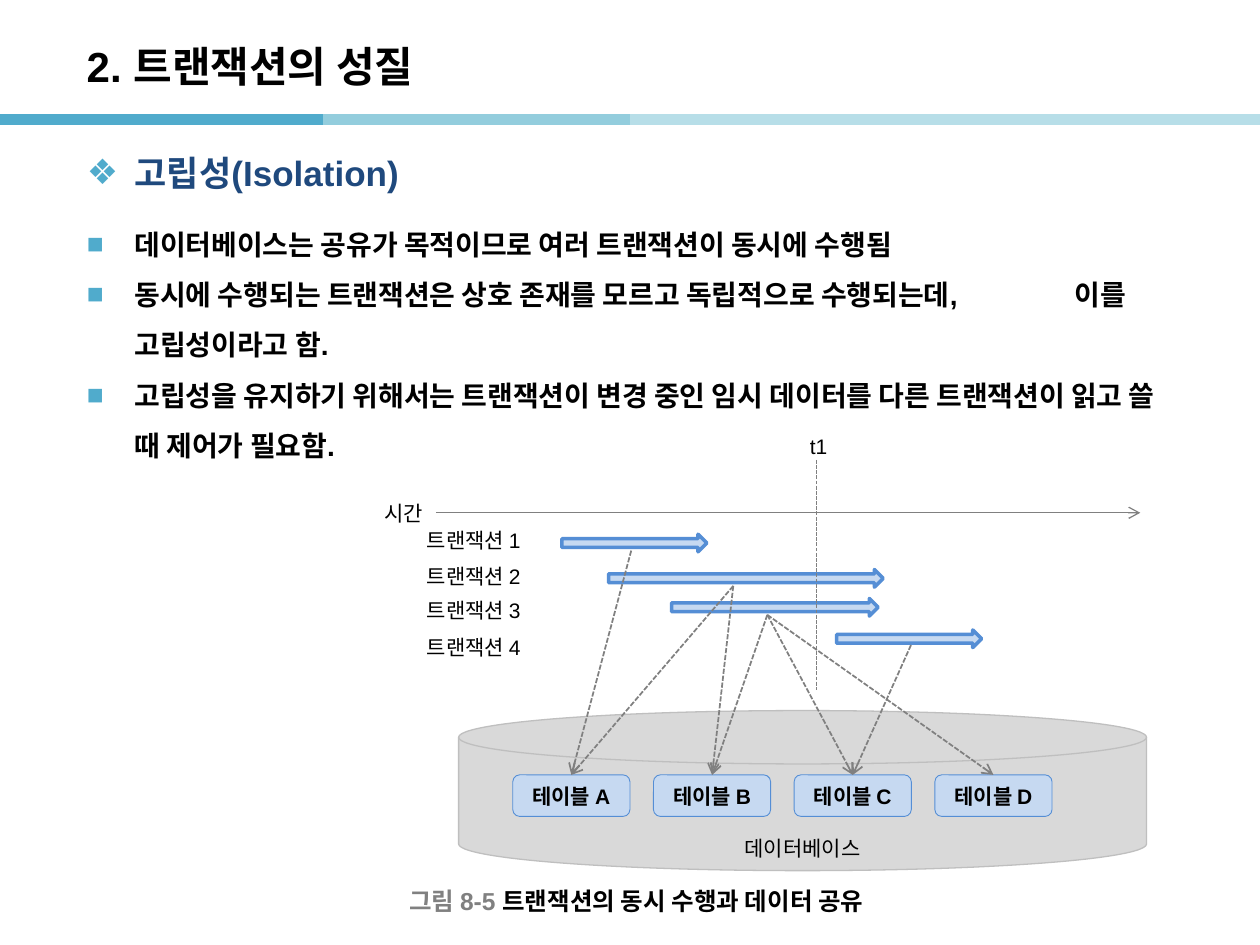
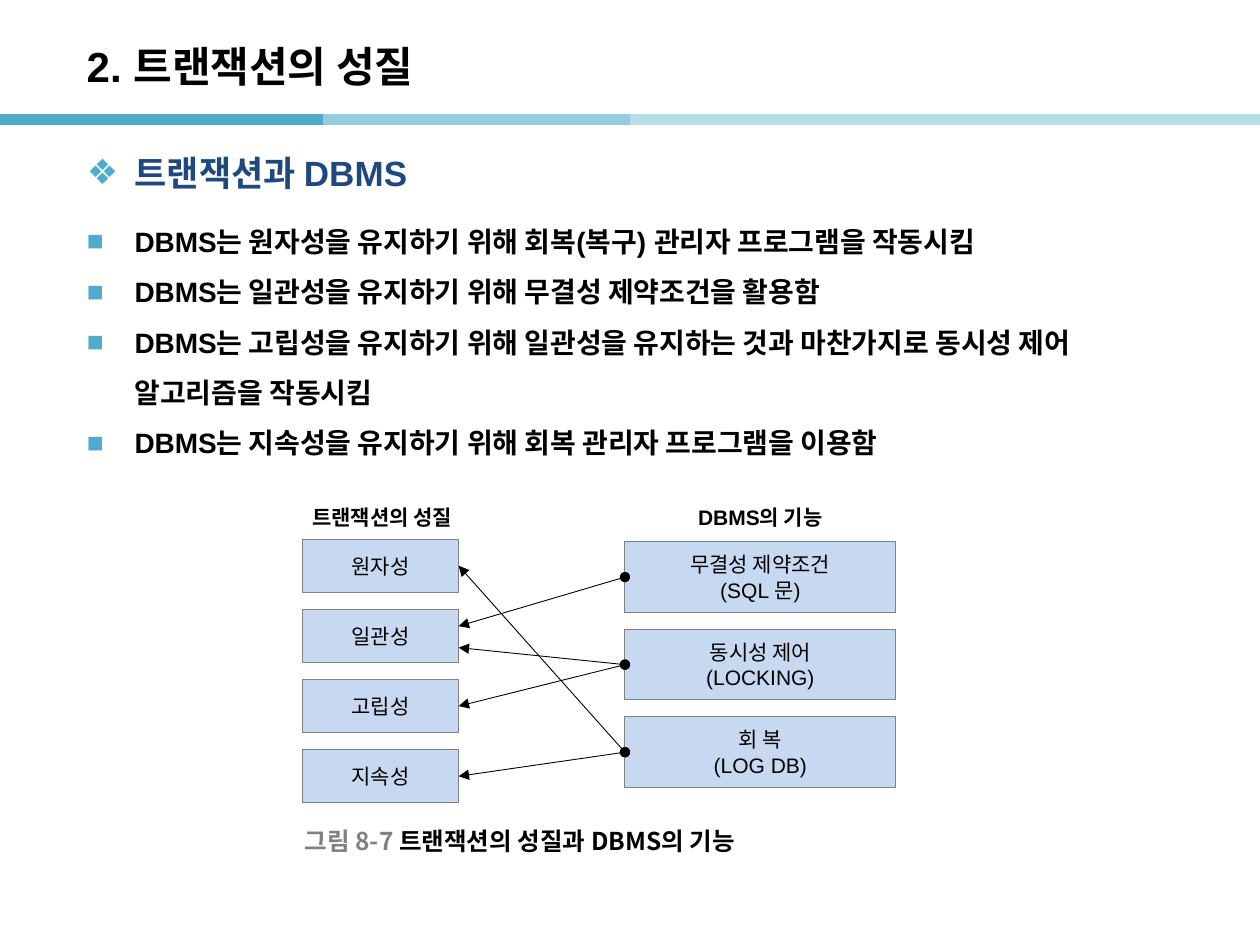
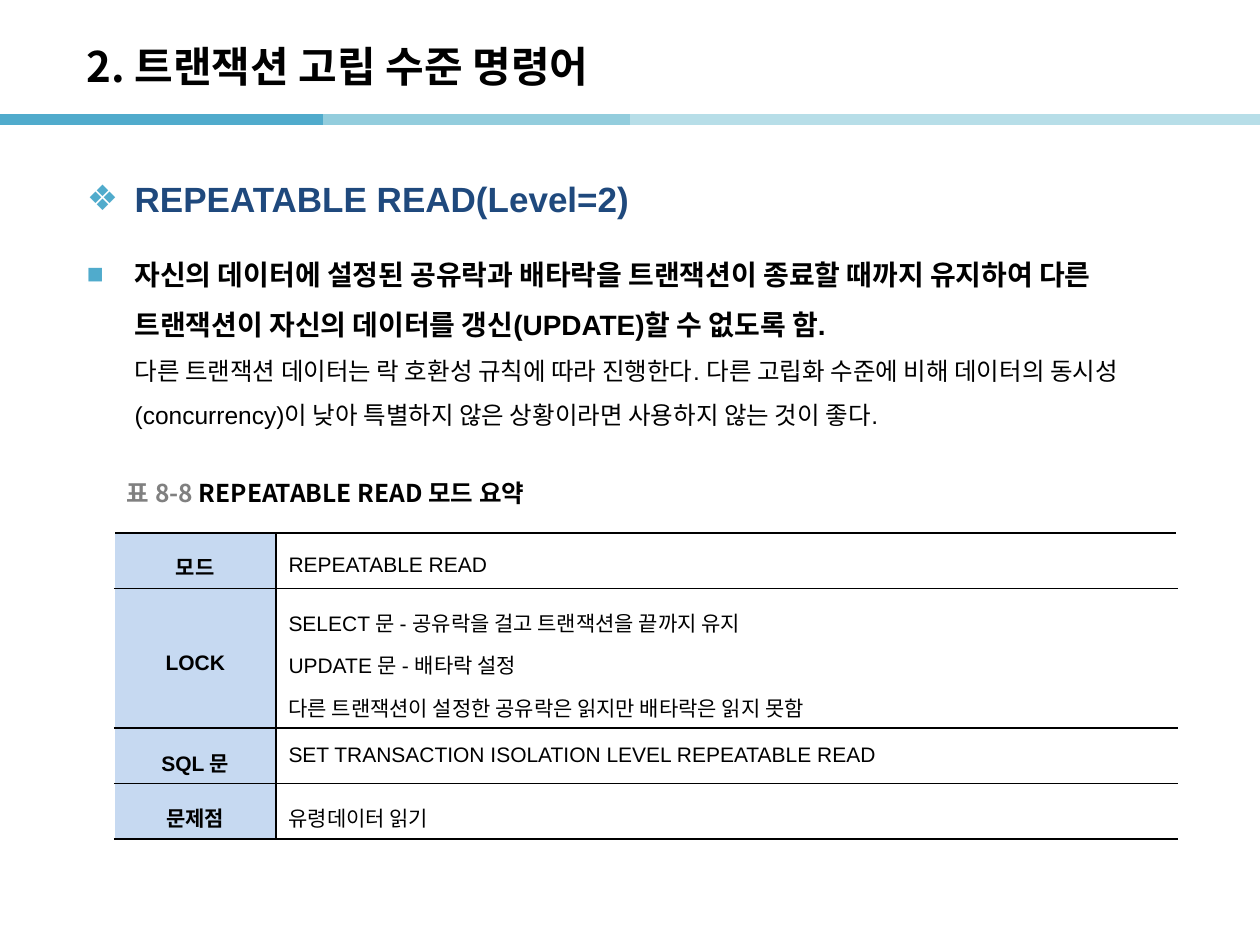
from lxml.etree import SubElement
from pptx import Presentation
from pptx.dml.color import RGBColor
from pptx.enum.dml import MSO_LINE
from pptx.enum.shapes import MSO_CONNECTOR, MSO_SHAPE
from pptx.enum.text import MSO_ANCHOR, PP_ALIGN
from pptx.oxml.ns import qn
from pptx.util import Inches, Pt

COLORS = {
    "black": "000000", "white": "FFFFFF", "gray": "808080", "disk": "D9D9D9",
    "disk_edge": "BFBFBF", "pale_blue": "C6D9F1", "blue": "558ED5",
    "navy": "1F497D", "teal": "50ABCC", "teal_mid": "93CDDD", "teal_pale": "B7DEE8",
}
LATIN, KOREAN = "Arial", "Noto Sans CJK KR"
HANG = 0.38
TOP, LEFT = 0, 1
RIGHT = 3


def rgb(name):
    return RGBColor.from_string(COLORS[name])


# --- Text ---
def add_bullet(paragraph, char, hang, tab=None):
    props = paragraph._p.get_or_add_pPr()
    props.set("marL", str(Inches(hang)))
    props.set("indent", str(-Inches(hang) if char else 0))
    if char:
        color = SubElement(props, qn("a:buClr"))
        SubElement(color, qn("a:srgbClr"), val=COLORS["teal"])
        SubElement(props, qn("a:buFont"), typeface=LATIN)
        SubElement(props, qn("a:buChar"), char=char)
    if tab:
        stops = SubElement(props, qn("a:tabLst"))
        SubElement(stops, qn("a:tab"), pos=str(Inches(tab)), algn="l")


def add_run(paragraph, text, size, color, bold, font):
    run = paragraph.add_run()
    run.text = text
    run.font.size = Pt(size)
    run.font.bold = bold
    run.font.color.rgb = rgb(color)
    run.font.name = font


def write(frame, text, size=12, color="black", bold=False, font=LATIN, first=True,
          align=PP_ALIGN.LEFT, spacing=None, bullet=None, hang=0, tab=None):
    """Write one paragraph; text is a string or a list of (string, color)."""
    paragraph = frame.paragraphs[0] if first else frame.add_paragraph()
    if hang:
        add_bullet(paragraph, bullet, hang, tab)
    paragraph.alignment = align
    if spacing:
        paragraph.line_spacing = spacing
    parts = [(text, color)] if isinstance(text, str) else text
    for part, part_color in parts:
        add_run(paragraph, part, size, part_color, bold, font)


def add_text_box(slide, left, top, width, height, anchor=MSO_ANCHOR.TOP):
    box = slide.shapes.add_textbox(Inches(left), Inches(top), Inches(width), Inches(height))
    box.text_frame.word_wrap = True
    box.text_frame.vertical_anchor = anchor
    return box.text_frame


def add_label(slide, text, left, top, width, height=0.3, **style):
    write(add_text_box(slide, left, top, width, height, MSO_ANCHOR.MIDDLE), text, **style)


def add_caption(slide, number, text, left, top, font=KOREAN):
    add_label(slide, [(number + " ", "gray"), (text, "black")], left, top, 5,
              size=14, bold=True, font=font)


def add_heading(slide, text, top=1.15, spacing=None):
    frame = add_text_box(slide, 0.59, top, 8.82, 0.52)
    write(frame, text, size=20, color="navy", bold=True, bullet="❖", hang=HANG,
          spacing=spacing)


def add_points(slide, points, top, height, tab=None):
    frame = add_text_box(slide, 0.59, top, 8.82, height)
    for index, point in enumerate(points):
        write(frame, point, size=16, bold=True, first=index == 0, bullet="■",
              hang=HANG, spacing=1.5, tab=tab)
    return frame


# --- Shapes and lines ---
def add_block(slide, kind, left, top, width, height, fill=None, edge=None, weight=0.5):
    block = slide.shapes.add_shape(kind, Inches(left), Inches(top), Inches(width), Inches(height))
    block.shadow.inherit = False
    if fill:
        block.fill.solid()
        block.fill.fore_color.rgb = rgb(fill)
        block.line.color.rgb = rgb(edge)
        block.line.width = Pt(weight)
    else:
        block.fill.background()
        block.line.fill.background()
    return block


def add_text_block(slide, kind, lines, left, top, width, height,
                   fill="pale_blue", edge="gray", bold=False):
    block = add_block(slide, kind, left, top, width, height, fill, edge)
    frame = block.text_frame
    frame.word_wrap = True
    frame.vertical_anchor = MSO_ANCHOR.MIDDLE
    for index, line in enumerate(lines):
        write(frame, line, bold=bold, first=index == 0, align=PP_ALIGN.CENTER)
    return block


def add_line(slide, start, end, color, weight, dashed=False, head=None, tail=None):
    line = slide.shapes.add_connector(
        MSO_CONNECTOR.STRAIGHT, *(Inches(value) for value in (*start, *end)))
    line.line.color.rgb = rgb(color)
    line.line.width = Pt(weight)
    if dashed:
        line.line.dash_style = MSO_LINE.SQUARE_DOT
    properties = line._element.spPr
    outline = properties.find(qn("a:ln"))
    for tag, arrow in (("a:headEnd", head), ("a:tailEnd", tail)):
        if arrow:
            SubElement(outline, qn(tag), type=arrow)
    SubElement(properties, qn("a:effectLst"))
    return line


# --- Table ---
def style_cell(cell, fill, sides, anchor):
    cell.vertical_anchor = anchor
    props = cell._tc.get_or_add_tcPr()
    for side in sides:
        border = SubElement(props, qn("a:ln" + side), w=str(Pt(1)))
        solid = SubElement(border, qn("a:solidFill"))
        SubElement(solid, qn("a:srgbClr"), val=COLORS["black"])
    cell.fill.solid()
    cell.fill.fore_color.rgb = rgb(fill)


def add_summary_table(slide, rows, left, top, widths, heights):
    table = slide.shapes.add_table(
        len(rows), len(widths), Inches(left), Inches(top),
        Inches(sum(widths)), Inches(sum(heights))).table
    table.first_row = table.horz_banding = False
    for column, width in zip(table.columns, widths):
        column.width = Inches(width)
    for index, (label, values, anchor) in enumerate(rows):
        table.rows[index].height = Inches(heights[index])
        label_cell, value_cell = table.cell(index, 0), table.cell(index, 1)
        style_cell(label_cell, "pale_blue", "RTB", MSO_ANCHOR.MIDDLE)
        write(label_cell.text_frame, label, bold=True, align=PP_ALIGN.CENTER, spacing=1.4)
        style_cell(value_cell, "white", "LTB", anchor)
        for number, value in enumerate(values):
            write(value_cell.text_frame, value, first=number == 0, spacing=1.4)


# --- Slides ---
def start_slide(deck, title, font=LATIN):
    slide = deck.slides.add_slide(deck.slide_layouts[6])
    for left, right, color in ((0, 2.56, "teal"), (2.56, 5.12, "teal_mid"),
                               (5, 7.56, "teal_pale"), (7.46, 10.02, "teal_pale")):
        add_line(slide, (left, 0.95), (right, 0.95), color, 6)
    add_label(slide, title, 0.59, 0.22, 8.27, 0.6, size=24, bold=True, font=font)
    return slide


def draw_sharing_diagram(slide):
    # Database, time axis and transactions
    add_block(slide, MSO_SHAPE.FLOWCHART_MAGNETIC_DISK, 3.64, 5.64, 5.46, 1.27,
              "disk", "disk_edge", 0.75)
    add_label(slide, "데이터베이스", 3.64, 6.58, 5.46, align=PP_ALIGN.CENTER)
    add_line(slide, (3.46, 4.07), (9.05, 4.07), "gray", 0.75, tail="arrow")
    add_label(slide, "시간", 2.95, 3.92, 0.76)
    transactions = ((4.46, 4.24, 1.15, 4.14), (4.83, 4.52, 2.18, 4.42),
                    (5.33, 4.75, 1.64, 4.69), (6.64, 5, 1.15, 4.99))
    for number, (left, top, length, label_top) in enumerate(transactions, 1):
        add_block(slide, MSO_SHAPE.RIGHT_ARROW, left, top, length, 0.14,
                  "pale_blue", "blue", 2)
        add_label(slide, f"트랜잭션 {number}", 3.29, label_top, 1.09)

    # Moment t1
    add_line(slide, (6.48, 3.65), (6.48, 5.48), "gray", 0.75, dashed=True)
    add_label(slide, "t1", 6.33, 3.39, 1.06)

    # Tables and the transactions that reach them
    tables = {}
    for index, name in enumerate("ABCD"):
        tables[name] = add_text_block(
            slide, MSO_SHAPE.ROUNDED_RECTANGLE, [f"테이블 {name}"],
            4.07 + 3.35 / 3 * index, 6.15, 0.93, 0.33, edge="blue", bold=True)
    accesses = (((5.01, 4.37), "A"), ((5.82, 4.65), "AB"),
                ((6.09, 4.88), "BCD"), ((7.23, 5.12), "C"))
    for start, names in accesses:
        for name in names:
            access = add_line(slide, start, (start[0], 6.15), "gray", 1,
                              dashed=True, tail="arrow")
            access.end_connect(tables[name], TOP)


def draw_function_diagram(slide):
    for text, left, width in (("트랜잭션의 성질", 2.29, 1.49), ("DBMS의 기능", 4.96, 2.15)):
        add_text_block(slide, MSO_SHAPE.ROUNDED_RECTANGLE, [text], left, 3.93, width, 0.35,
                       fill=None, bold=True)
    functions = [
        add_text_block(slide, MSO_SHAPE.RECTANGLE, lines, 4.96, 4.3 + 0.695 * index, 2.15, 0.56)
        for index, lines in enumerate((("무결성 제약조건", "(SQL 문)"),
                                       ("동시성 제어", "(LOCKING)"),
                                       ("회 복", "(LOG DB)")))]
    properties = [
        add_text_block(slide, MSO_SHAPE.RECTANGLE, [name], 2.4, 4.28 + 0.557 * index, 1.24, 0.42)
        for index, name in enumerate(("원자성", "일관성", "고립성", "지속성"))]

    # Property row, function row, and the height where two arrows share a box
    for prop, function, y in ((0, 2, None), (1, 0, 4.97), (1, 1, 5.14),
                              (2, 1, None), (3, 2, None)):
        link = add_line(slide, (3.64, y or 5), (4.96, 5), "black", 0.5,
                        head="triangle", tail="oval")
        if y is None:
            link.begin_connect(properties[prop], RIGHT)
        link.end_connect(functions[function], LEFT)


def build_isolation(deck):
    slide = start_slide(deck, "2. 트랜잭션의 성질")
    add_heading(slide, "고립성(Isolation)")
    add_points(slide, (
        "데이터베이스는 공유가 목적이므로 여러 트랜잭션이 동시에 수행됨",
        "동시에 수행되는 트랜잭션은 상호 존재를 모르고 독립적으로 수행되는데,\t이를 고립성이라고 함.",
        "고립성을 유지하기 위해서는 트랜잭션이 변경 중인 임시 데이터를 다른 트랜잭션이 읽고 쓸 때 제어가 필요함.",
    ), 1.62, 2.2, tab=7.84)
    draw_sharing_diagram(slide)
    add_caption(slide, "그림 8-5", "트랜잭션의 동시 수행과 데이터 공유", 3.15, 7, font=LATIN)


def build_functions(deck):
    slide = start_slide(deck, "2. 트랜잭션의 성질")
    add_heading(slide, "트랜잭션과 DBMS")
    add_points(slide, (
        "DBMS는 원자성을 유지하기 위해 회복(복구) 관리자 프로그램을 작동시킴",
        "DBMS는 일관성을 유지하기 위해 무결성 제약조건을 활용함",
        "DBMS는 고립성을 유지하기 위해 일관성을 유지하는 것과 마찬가지로 동시성 제어 알고리즘을 작동시킴",
        "DBMS는 지속성을 유지하기 위해 회복 관리자 프로그램을 이용함",
    ), 1.6, 2.2)
    draw_function_diagram(slide)
    add_caption(slide, "그림 8-7", "트랜잭션의 성질과 DBMS의 기능", 2.32, 6.52)


def build_repeatable_read(deck):
    slide = start_slide(deck, "2. 트랜잭션 고립 수준 명령어", font=KOREAN)
    add_heading(slide, "REPEATABLE READ(Level=2)", top=1.19, spacing=1.5)
    frame = add_points(slide, (
        "자신의 데이터에 설정된 공유락과 배타락을 트랜잭션이 종료할 때까지 유지하여 다른 트랜잭션이 자신의 데이터를 갱신(UPDATE)할 수 없도록 함.",
    ), 1.86, 1.8)
    write(frame, "다른 트랜잭션 데이터는 락 호환성 규칙에 따라 진행한다. 다른 고립화 수준에 비해 데이터의 "
                 "동시성(concurrency)이 낮아 특별하지 않은 상황이라면 사용하지 않는 것이 좋다.",
          size=14, first=False, hang=HANG, spacing=1.5)
    add_caption(slide, "표 8-8", "REPEATABLE READ 모드 요약", 0.91, 3.76)
    add_summary_table(slide, (
        ("모드", ["REPEATABLE READ"], MSO_ANCHOR.MIDDLE),
        ("LOCK", ["SELECT 문 - 공유락을 걸고 트랜잭션을 끝까지 유지",
                  "UPDATE 문 - 배타락 설정",
                  "다른 트랜잭션이 설정한 공유락은 읽지만 배타락은 읽지 못함"], MSO_ANCHOR.TOP),
        ("SQL 문", ["SET TRANSACTION ISOLATION LEVEL REPEATABLE READ"], MSO_ANCHOR.TOP),
        ("문제점", ["유령데이터 읽기"], MSO_ANCHOR.TOP),
    ), 0.91, 4.23, (1.28, 7.15), (0.44, 1.11, 0.44, 0.44))


def main():
    deck = Presentation()
    deck.slide_width, deck.slide_height = Inches(10), Inches(7.5)
    build_isolation(deck)
    build_functions(deck)
    build_repeatable_read(deck)
    deck.save("out.pptx")


if __name__ == "__main__":
    main()
